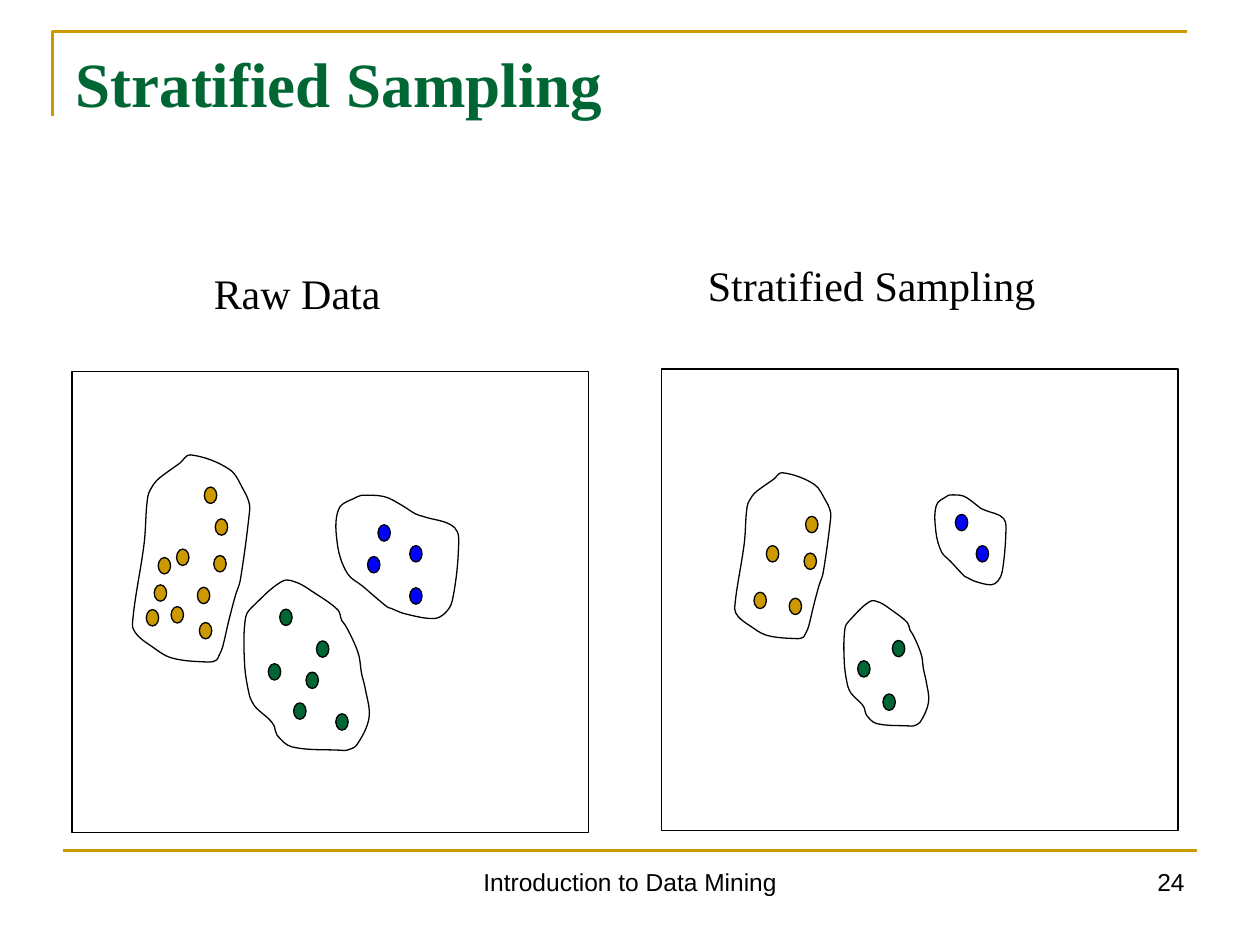
from math import dist
from lxml.etree import SubElement
from pptx import Presentation
from pptx.dml.color import RGBColor
from pptx.enum.shapes import MSO_CONNECTOR, MSO_SHAPE
from pptx.enum.text import MSO_ANCHOR, MSO_AUTO_SIZE, PP_ALIGN
from pptx.oxml.ns import qn
from pptx.util import Cm, Pt

BLACK = RGBColor(0x00, 0x00, 0x00)
GOLD = RGBColor(0xCC, 0x99, 0x00)
GREEN = RGBColor(0x00, 0x66, 0x33)
BLUE = RGBColor(0x00, 0x00, 0xFF)
SERIF, SANS = "Times New Roman", "Arial"

# Content: text, box in cm, size, font, alignment
TITLE = "Stratified Sampling"
FOOTERS = [
    ("Introduction to Data Mining", (8.68, 17.35, 8.05, 1.32), 14, SANS, PP_ALIGN.CENTER),
    ("24", (18.21, 17.35, 5.92, 1.32), 14, SANS, PP_ALIGN.RIGHT),
]
PANEL_LABELS = [
    ("Raw Data", (4.06, 5.26, 4.06, 1.27), 24, SERIF, PP_ALIGN.LEFT),
    ("Stratified Sampling", (14.02, 5.11, 7.11, 1.27), 24, SERIF, PP_ALIGN.LEFT),
]

# Stratum outlines, in percent of their boxes
OUTLINES = {
    BLUE: [(94, 27), (97, 44), (92, 86), (86, 96), (77, 100), (54, 96), (44, 92),
           (41, 91), (29, 81), (21, 74), (9, 64), (1, 41), (2, 12), (17, 2),
           (20, 1), (38, 2), (52, 9), (63, 16), (69, 18)],
    GREEN: [(24, 85), (20, 81), (12, 76), (8, 73), (4, 67), (0, 48), (1, 21),
            (8, 14), (31, 0), (42, 1), (54, 6), (75, 17), (78, 23), (81, 26),
            (88, 36), (92, 44), (94, 54), (97, 63), (100, 80), (90, 96),
            (82, 99), (78, 99), (38, 97), (26, 90)],
    GOLD: [(87, 67), (81, 80), (76, 92), (73, 96), (71, 98), (65, 99), (33, 97),
           (15, 91), (4, 86), (0, 81), (10, 42), (13, 20), (18, 14), (23, 11),
           (35, 6), (40, 4), (49, 0), (82, 7), (94, 17), (98, 22), (99, 26), (91, 60)],
}

# Panels: top-left corner, then (colour, outline box, data points) per stratum, in cm
PANEL_SIZE = (10.41, 9.3)
DOT_SIZE = (0.25, 0.33)
PANELS = [
    ((1.45, 7.49), [
        (BLUE, (6.78, 9.96, 2.54, 2.51),
         [(7.62, 10.58), (7.41, 11.22), (8.26, 11), (8.26, 11.85)]),
        (GREEN, (4.93, 11.71, 2.51, 3.45),
         [(6.38, 12.92), (6.17, 13.55), (5.41, 13.38), (5.92, 14.17),
          (5.64, 12.28), (6.77, 14.39)]),
        (GOLD, (2.67, 9.17, 2.39, 4.22),
         [(3.45, 12.23), (3.11, 11.79), (3.98, 11.84), (3.56, 11.07), (2.95, 12.29),
          (3.19, 11.24), (4.02, 12.55), (4.31, 11.2), (4.34, 10.46), (4.12, 9.82)]),
    ]),
    ((13.34, 7.44), [
        (BLUE, (18.85, 9.96, 1.47, 1.83), [(19.26, 10.37), (19.68, 11)]),
        (GREEN, (17.02, 12.12, 1.7, 2.54), [(17.8, 13.99), (17.29, 13.32), (17.99, 12.91)]),
        (GOLD, (14.81, 9.53, 1.96, 3.38),
         [(15.2, 11.94), (15.45, 11), (15.91, 12.06), (16.21, 11.15), (16.24, 10.41)]),
    ]),
]


def lengths(values):
    return [Cm(value) for value in values]


def style(shape, fill=None, line=BLACK, width=0.75):
    shape.shadow.inherit = False
    if fill is None:
        shape.fill.background()
    else:
        shape.fill.solid()
        shape.fill.fore_color.rgb = fill
    shape.line.color.rgb = line
    shape.line.width = Pt(width)


def add_outline(shapes, points, **look):
    corners = [lengths(point) for point in points]
    builder = shapes.build_freeform(*corners[0])
    builder.add_line_segments(corners[1:], close=False)
    shape = builder.convert_to_shape()
    style(shape, **look)
    return shape


def round_loop(shape):
    """Turn the straight segments of a closed loop into smooth Bézier curves."""
    segments = list(shape.element.iter(qn("a:lnTo")))
    anchors = [(int(segment[0].get("x")), int(segment[0].get("y"))) for segment in segments]
    count = len(anchors)
    tangents = []
    for index, before in enumerate(anchors):
        after = anchors[(index + 2) % count]
        span = dist(before, after)
        tangents.append([(b - a) / span for a, b in zip(before, after)])
    for index, segment in enumerate(segments):
        start, end = anchors[index - 1], anchors[index]
        reach = dist(start, end) / 3
        leaving, arriving = tangents[index - 2], tangents[index - 1]
        segment.tag = qn("a:cubicBezTo")
        controls = [[s + reach * t for s, t in zip(start, leaving)],
                    [e - reach * t for e, t in zip(end, arriving)]]
        for position, (x, y) in enumerate(controls):
            point = SubElement(segment, qn("a:pt"), x=str(round(x)), y=str(round(y)))
            segment.insert(position, point)
    SubElement(segments[-1].getparent(), qn("a:close"))


def set_text(box, text, size, font, color, align, bold=False):
    frame = box.text_frame
    frame.word_wrap = True
    frame.vertical_anchor = MSO_ANCHOR.TOP
    para = frame.paragraphs[0]
    para.text = text
    para.alignment = align
    para.font.size = Pt(size)
    para.font.name = font
    para.font.bold = bold
    para.font.color.rgb = color


def add_text(shapes, text, place, size, font, align):
    box = shapes.add_textbox(*lengths(place))
    set_text(box, text, size, font, BLACK, align)
    return box


def main():
    deck = Presentation()
    deck.slide_width, deck.slide_height = Cm(25.4), Cm(19.05)
    slide = deck.slides.add_slide(deck.slide_layouts[5])
    shapes = slide.shapes

    # Rules around the page
    add_outline(shapes, [(1.06, 2.33), (1.06, 0.63), (23.92, 0.63)], line=GOLD, width=1.5)
    rule = shapes.add_connector(MSO_CONNECTOR.STRAIGHT,
                                *lengths((1.27, 17.15, 24.13, 17.15)))
    rule.line.color.rgb = GOLD
    rule.line.width = Pt(1.5)
    SubElement(rule.element.spPr, qn("a:effectLst"))

    # Footer and page number
    for footer in FOOTERS:
        add_text(shapes, *footer)

    # Title
    title = shapes.title
    title.left, title.top, title.width, title.height = lengths((1.27, 0.76, 22.86, 1.98))
    set_text(title, TITLE, 36, SERIF, GREEN, PP_ALIGN.LEFT, bold=True)

    # Panels with their strata
    for corner, strata in PANELS:
        style(shapes.add_shape(MSO_SHAPE.RECTANGLE, *lengths(corner + PANEL_SIZE)))
        for color, (left, top, width, height), dots in strata:
            for dot in dots:
                style(shapes.add_shape(MSO_SHAPE.FLOWCHART_CONNECTOR,
                                       *lengths(dot + DOT_SIZE)), fill=color)
            loop = [(left + width * x / 100, top + height * y / 100)
                    for x, y in OUTLINES[color]]
            round_loop(add_outline(shapes, loop + loop[:1]))

    # Panel labels
    for label in PANEL_LABELS:
        box = add_text(shapes, *label)
        box.text_frame.word_wrap = False
        box.text_frame.auto_size = MSO_AUTO_SIZE.SHAPE_TO_FIT_TEXT

    deck.save("out.pptx")


if __name__ == "__main__":
    main()
